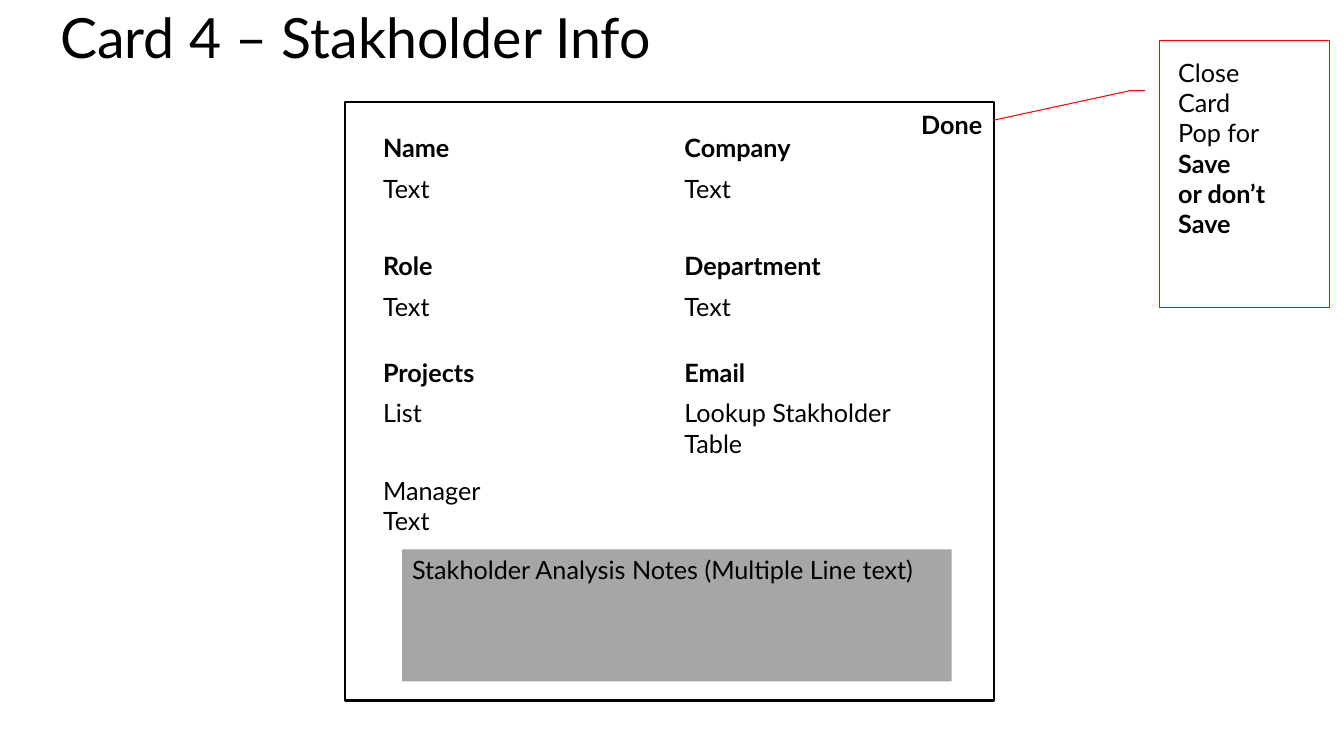
from pptx import Presentation
from pptx.dml.color import RGBColor as RGB
from pptx.enum.shapes import MSO_SHAPE as Kind
from pptx.enum.text import MSO_ANCHOR as Anchor, PP_ALIGN as Align
from pptx.util import Pt

FONT = "Lato"
BLACK, WHITE, GREY, RED = "000000", "FFFFFF", "A6A6A6", "FF0000"

COLS = [125.3, 90, 165.6, 49.7]
# Each row: height, left text, right text, bold
ROWS = [
    (22.3, "Name", "Company", True),
    (55.4, "Text", "Text", False),
    (25.9, "Role", "Department", True),
    (47.5, "Text", "Text", False),
    (22.3, "Projects", "Email", True),
    (55.4, "List", "Lookup Stakholder Table", False),
    (55.4, "Manager\nText", "", False),
]


def color(code):
    return RGB.from_string(code)


def style(para, size=18, bold=False):
    para.alignment = Align.LEFT
    font = para.font
    font.name, font.size, font.bold = FONT, Pt(size), bold
    font.color.rgb = color(BLACK)


def write(frame, text, size=18, bold=False):
    frame.text = text
    for para in frame.paragraphs:
        style(para, size, bold)


def add_box(slide, area, fill=None, line=None, width=1, kind=Kind.RECTANGLE):
    box = slide.shapes.add_shape(kind, *map(Pt, area))
    box.shadow.inherit = False
    if fill:
        box.fill.solid()
        box.fill.fore_color.rgb = color(fill)
    else:
        box.fill.background()
    if line:
        box.line.color.rgb = color(line)
        box.line.width = Pt(width)
    else:
        box.line.fill.background()
    return box


def add_label(slide, area, fill, text, bold=False):
    box = add_box(slide, area, fill)
    box.text_frame.vertical_anchor = Anchor.TOP
    write(box.text_frame, text, bold=bold)


def add_text(slide, area):
    frame = slide.shapes.add_textbox(*map(Pt, area)).text_frame
    frame.word_wrap = True
    return frame


def add_title(slide, text):
    frame = add_text(slide, (36, 13.7, 828, 30.2))
    frame.vertical_anchor = Anchor.MIDDLE
    write(frame, text, 39.6)
    frame.paragraphs[0].line_spacing = 0.9


def add_fields(slide, left, top):
    area = (left, top, sum(COLS), sum(row[0] for row in ROWS))
    table = slide.shapes.add_table(len(ROWS), len(COLS), *map(Pt, area)).table
    table.first_row = table.horz_banding = False
    for col, width in zip(table.columns, COLS):
        col.width = Pt(width)
    for row, (height, first, second, bold) in zip(table.rows, ROWS):
        row.height = Pt(height)
        for cell, text in zip(row.cells, (first, "", second, "")):
            cell.fill.background()
            if text:
                write(cell.text_frame, text, bold=bold)


def add_callout(slide):
    # Red frame with its leader line
    box = add_box(slide, (828, 28.8, 121.7, 190.8), line=RED, width=0.75,
                  kind=Kind.LINE_CALLOUT_2)
    for i, value in enumerate((0.188, -0.083, 0.188, -0.167, 0.32, -1.124)):
        box.adjustments[i] = value

    # Comment text, partly bold
    frame = add_text(slide, (834.5, 37.4, 89.3, 138.2))
    write(frame, "Close Card\nPop for \nor don’t Save")
    pop, save = frame.paragraphs[1:]
    run = pop.add_run()
    run.text, run.font.bold = "Save", True
    save.font.bold = True


def main():
    deck = Presentation()
    deck.slide_width, deck.slide_height = Pt(960), Pt(540)
    slide = deck.slides.add_slide(deck.slide_layouts[6])

    add_title(slide, "Card 4 – Stakholder Info")

    # Card with its fields and notes
    add_box(slide, (246.2, 72.7, 463.7, 427.7), WHITE, BLACK, 1.5)
    add_fields(slide, 266.4, 91.4)
    add_label(slide, (287.3, 392.4, 392.4, 94.3), GREY,
              "Stakholder Analysis Notes (Multiple Line text)")

    # Comment on the Done button
    add_callout(slide)
    add_label(slide, (650.9, 74.9, 58.3, 28.8), WHITE, "Done", True)

    deck.save("out.pptx")


if __name__ == "__main__":
    main()
